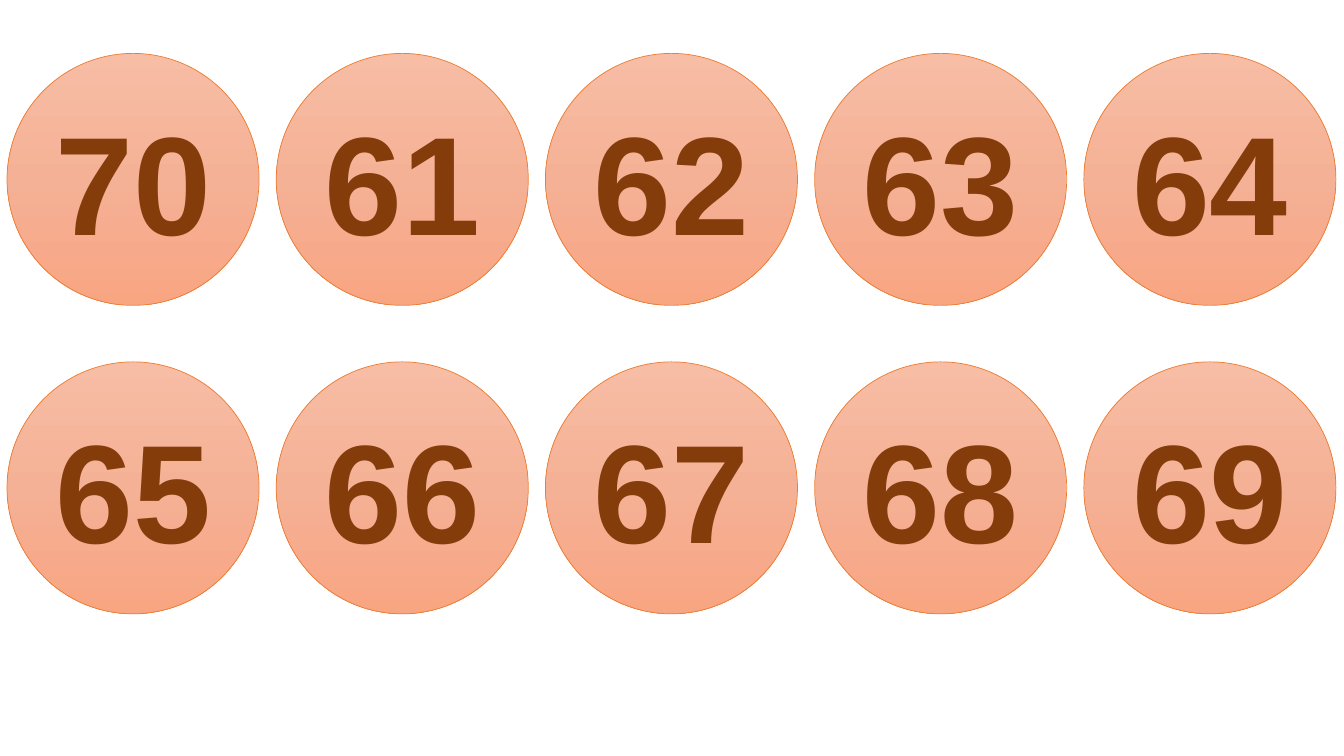
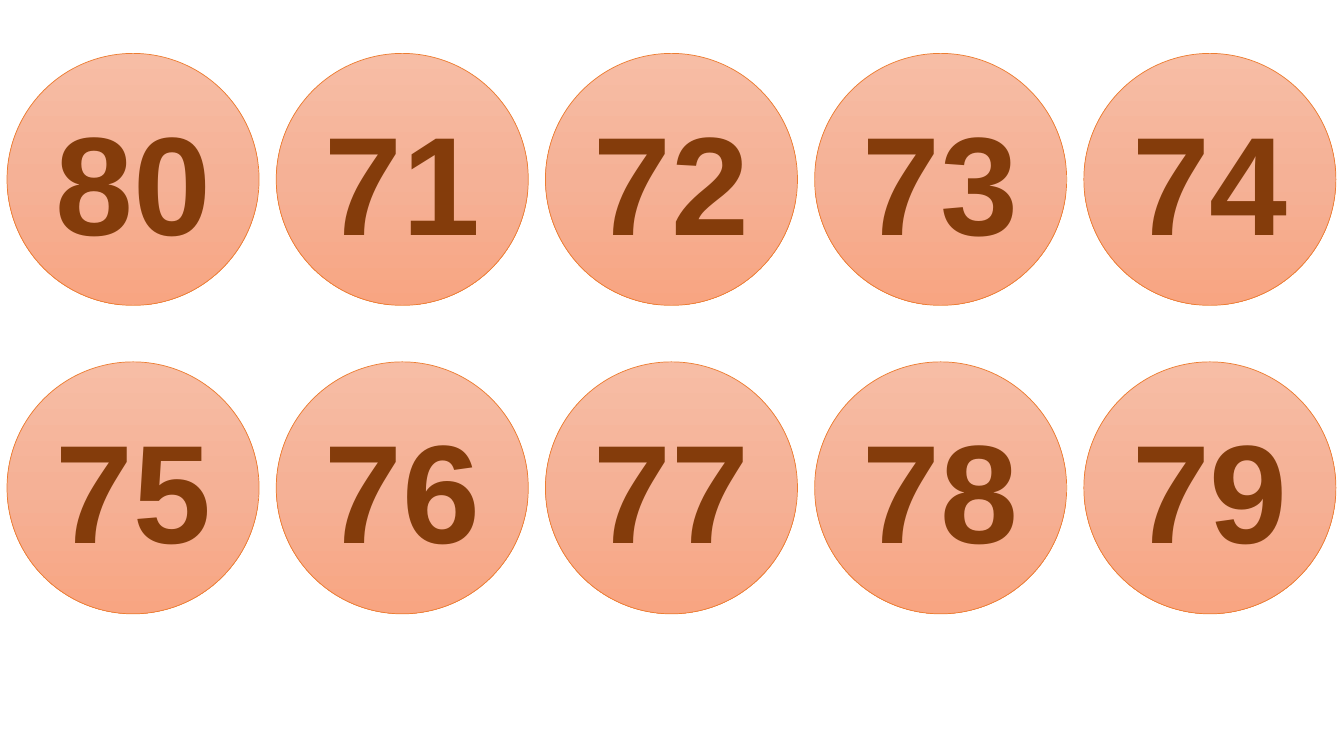
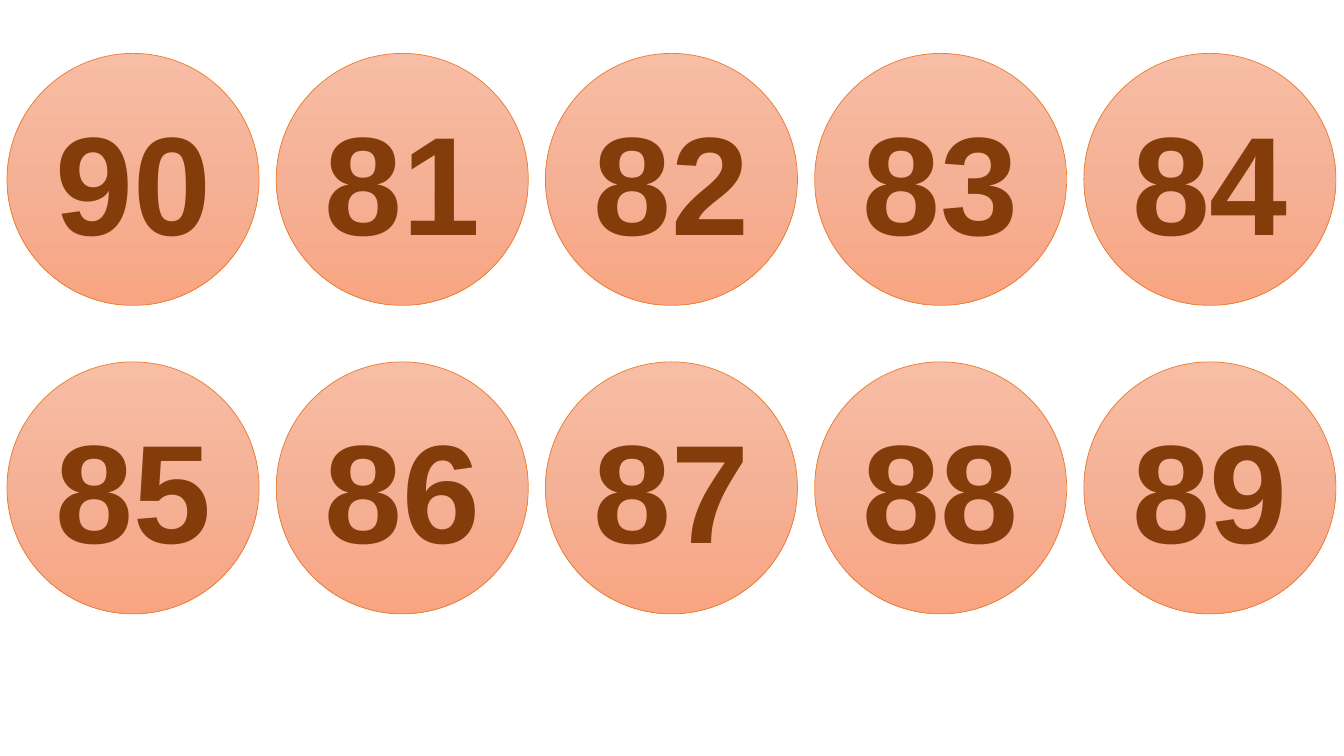
from copy import deepcopy
from dataclasses import dataclass

from pptx import Presentation
from pptx.dml.color import RGBColor
from pptx.enum.shapes import MSO_SHAPE
from pptx.enum.text import MSO_ANCHOR, PP_ALIGN
from pptx.oxml.ns import qn
from pptx.shapes.autoshape import Shape
from pptx.slide import Slide
from pptx.util import Inches, Pt

BROWN = RGBColor(0x84, 0x3C, 0x0B)
ORANGE = RGBColor(0xED, 0x7D, 0x31)
GRADIENT = (
    (0, RGBColor(0xF7, 0xBD, 0xA5)),
    (0.5, RGBColor(0xF5, 0xB1, 0x96)),
    (1, RGBColor(0xF8, 0xA5, 0x82)),
)
FONT = "Arial"

COLUMNS = 5
LEFT, TOP = 0.07, 0.53
COLUMN_STEP, ROW_STEP = 2.67, 3.06
DIAMETER = 2.5
DECADES = (60, 70, 80)


@dataclass(frozen=True)
class Ball:
    number: int
    left: float
    top: float


def decade_balls(decade: int) -> list[Ball]:
    numbers = [decade + 10, *range(decade + 1, decade + 10)]
    balls = []
    for i, number in enumerate(numbers):
        row, column = divmod(i, COLUMNS)
        balls.append(Ball(number, LEFT + column * COLUMN_STEP, TOP + row * ROW_STEP))
    return balls


def fill_gradient(sp: Shape) -> None:
    sp.fill.gradient()
    sp.fill.gradient_angle = 270
    stops = sp.element.spPr.find(".//" + qn("a:gsLst"))
    stops.insert(1, deepcopy(stops[0]))
    for stop, (position, color) in zip(sp.fill.gradient_stops, GRADIENT):
        stop.position = position
        stop.color.rgb = color


def draw_ball(slide: Slide, ball: Ball) -> None:
    sp = slide.shapes.add_shape(
        MSO_SHAPE.OVAL, Inches(ball.left), Inches(ball.top), Inches(DIAMETER), Inches(DIAMETER)
    )
    sp.name = f"Ball {ball.number}"
    sp.shadow.inherit = False
    fill_gradient(sp)
    sp.line.color.rgb = ORANGE
    sp.line.width = Pt(0.5)
    tf = sp.text_frame
    tf.vertical_anchor = MSO_ANCHOR.MIDDLE
    p = tf.paragraphs[0]
    p.text = str(ball.number)
    p.alignment = PP_ALIGN.CENTER
    p.font.name = FONT
    p.font.size = Pt(100)
    p.font.bold = True
    p.font.color.rgb = BROWN


def main() -> None:
    prs = Presentation()
    prs.slide_width, prs.slide_height = Inches(13.33), Inches(7.5)
    blank = prs.slide_layouts.get_by_name("Blank")
    for decade in DECADES:
        slide = prs.slides.add_slide(blank)
        for ball in decade_balls(decade):
            draw_ball(slide, ball)
    prs.save("out.pptx")


main()
